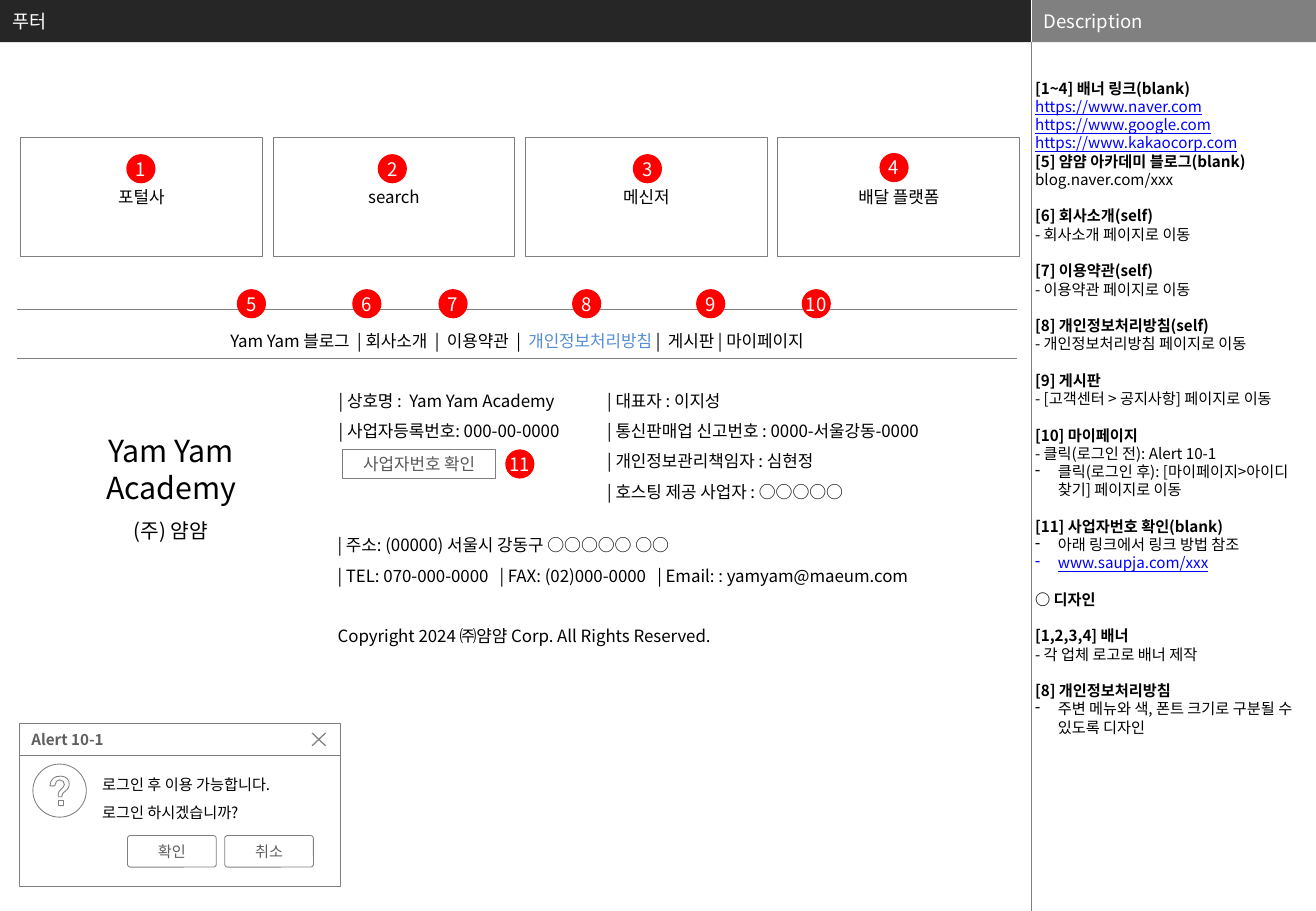
from collections import namedtuple
from dataclasses import dataclass

from lxml import etree
from pptx import Presentation
from pptx import util as u
from pptx.dml import color as c
from pptx.enum import shapes as s, text as t
from pptx.oxml import ns

Box = namedtuple("Box", "left top width height")
LEFT, CENTER = t.PP_ALIGN.LEFT, t.PP_ALIGN.CENTER
TOP, MIDDLE = t.MSO_ANCHOR.TOP, t.MSO_ANCHOR.MIDDLE


@dataclass(frozen=True)
class Theme:
    font: str = "Noto Sans CJK KR"
    black: str = "000000"
    white: str = "FFFFFF"
    bar: str = "262626"
    gray: str = "808080"
    button: str = "595959"
    alert: str = "5F5F5F"
    link: str = "0000FF"
    accent: str = "558ED5"
    marker: str = "FF0000"
    small: float = 9
    body: float = 10
    header: float = 11
    company: float = 12
    brand: float = 18
    hairline: float = 0.5
    gap: float = 10.8


THEME = Theme()


def rgb(value):
    return c.RGBColor.from_string(value)


def place(box, left, top, width, height):
    """Turn an offset inside a box into slide lengths."""
    return [u.Pt(v) for v in (box.left + left, box.top + top, width, height)]


def child(parent, tag, **attributes):
    return etree.SubElement(parent, ns.qn(tag), attributes)


def write(frame, text, *, size=THEME.body, color=THEME.black, bold=False, underline=False,
          align=LEFT, spacing=None, before=0, bullet=None, hang=13.5, tabs=(), join=False):
    """Add a paragraph, or with join a further run, to a text frame."""
    para = frame.paragraphs[-1]
    if para.runs and not join:
        para = frame.add_paragraph()
    if not join:
        para.alignment = align
        para.space_before = u.Pt(before)
        if spacing:
            para.line_spacing = spacing
        props = para._p.get_or_add_pPr()
        if bullet:
            props.set("marL", str(u.Pt(hang)))
            props.set("indent", str(-u.Pt(hang)))
            child(props, "a:buChar", char=bullet)
        if tabs:
            stops = child(props, "a:tabLst")
            for stop in tabs:
                child(stops, "a:tab", pos=str(u.Pt(stop)), algn="l")
    span = para.add_run()
    span.text = text
    span.font.size = u.Pt(size)
    span.font.bold = bold
    span.font.underline = underline
    span.font.color.rgb = rgb(color)
    span.font.name = THEME.font
    child(span._r.get_or_add_rPr(), "a:ea", typeface=THEME.font)


def set_frame(shape, anchor=TOP, insets=(7.2, 3.6, 7.2, 3.6), wrap=True):
    frame = shape.text_frame
    frame.auto_size = t.MSO_AUTO_SIZE.NONE
    frame.word_wrap = wrap
    frame.vertical_anchor = anchor
    (frame.margin_left, frame.margin_top,
     frame.margin_right, frame.margin_bottom) = [u.Pt(v) for v in insets]
    return frame


def add_text(shapes, area, **frame_format):
    return set_frame(shapes.add_textbox(*area), **frame_format)


def paint(shape, fill=None, line=None, width=THEME.hairline):
    shape.shadow.inherit = False
    if fill:
        shape.fill.solid()
        shape.fill.fore_color.rgb = rgb(fill)
    else:
        shape.fill.background()
    if line:
        shape.line.color.rgb = rgb(line)
        shape.line.width = u.Pt(width)
    else:
        shape.line.fill.background()


def add_box(shapes, area, kind=s.MSO_SHAPE.RECTANGLE, fill=None, line=None, **frame_format):
    shape = shapes.add_shape(kind, *area)
    paint(shape, fill, line)
    return shape, set_frame(shape, **{"anchor": MIDDLE, **frame_format})


def add_outline(shapes, contours, box, width, closed):
    """Draw several contours, given inside a box, as one freeform."""
    moved = [[(u.Pt(box.left + x), u.Pt(box.top + y)) for x, y in points] for points in contours]
    builder = shapes.build_freeform(*moved[0][0], scale=1.0)
    for index, points in enumerate(moved):
        if index:
            builder.move_to(*points[0])
        builder.add_line_segments(points[1:], close=closed)
    paint(builder.convert_to_shape(), line=THEME.gray, width=width)


def add_rule(page, x, top, bottom, color):
    rule = page.shapes.add_connector(s.MSO_CONNECTOR.STRAIGHT, *[u.Pt(v) for v in (x, top, x, bottom)])
    rule.line.color.rgb = rgb(color)
    rule.line.width = u.Pt(0.25)
    child(rule._element.spPr, "a:effectLst")


def add_header(page, box, split):
    title = page.shapes.title
    title.left, title.top, title.width, title.height = place(box, 0, 0, split, box.height)
    title.fill.solid()
    title.fill.fore_color.rgb = rgb(THEME.bar)
    write(set_frame(title, MIDDLE), "푸터", size=THEME.header, color=THEME.white)
    _, frame = add_box(page.shapes, place(box, split, 0, box.width - split, box.height), fill=THEME.gray)
    write(frame, "Description", size=THEME.header, color=THEME.white)
    add_rule(page, split, 0, box.height, THEME.white)
    add_rule(page, split, box.height, 540, THEME.gray)


def add_description(page, box):
    head = dict(bold=True, before=THEME.gap)
    tight = dict(bold=True)
    link = dict(color=THEME.link, underline=True)
    bullet = dict(bullet="-")
    entries = [
        ("[1~4] 배너 링크(blank)", tight), ("https://www.naver.com", link),
        ("https://www.google.com", link), ("https://www.kakaocorp.com", link),
        ("[5] 얌얌 아카데미 블로그(blank)", tight), ("blog.naver.com/xxx", {}),
        ("[6] 회사소개(self)", head), ("- 회사소개 페이지로 이동", {}),
        ("[7] 이용약관(self)", head), ("- 이용약관 페이지로 이동", {}),
        ("[8] 개인정보처리방침(self)", head), ("- 개인정보처리방침 페이지로 이동", {}),
        ("[9] 게시판", head), ("- [고객센터 > 공지사항] 페이지로 이동", {}),
        ("[10] 마이페이지", head), ("- 클릭(로그인 전): Alert 10-1", {}),
        ("클릭(로그인 후): [마이페이지>아이디 찾기] 페이지로 이동", bullet),
        ("[11] 사업자번호 확인(blank)", head), ("아래 링크에서 링크 방법 참조", bullet),
        ("www.saupja.com/xxx", {**link, **bullet}),
        ("○ 디자인", head),
        ("[1,2,3,4] 배너", head), ("- 각 업체 로고로 배너 제작", {}),
        ("[8] 개인정보처리방침", head),
        ("주변 메뉴와 색, 폰트 크기로 구분될 수 있도록 디자인", bullet),
    ]
    frame = add_text(page.shapes, place(box, 0, 0, box.width, box.height), insets=(2.9, 0, 2.9, 0))
    for text, look in entries:
        write(frame, text, size=THEME.small, **look)


def add_banners(page, box, labels, gap=6.3):
    width = (box.width - gap * (len(labels) - 1)) / len(labels)
    for index, label in enumerate(labels):
        area = place(box, index * (width + gap), 0, width, box.height)
        write(add_box(page.shapes, area, line=THEME.gray)[1], label, align=CENTER)


def add_menu(page, box):
    table = page.shapes.add_table(1, 1, *place(box, 0, 0, box.width, box.height)).table
    table.first_row = table.horz_banding = False
    cell = table.cell(0, 0)
    cell.vertical_anchor = MIDDLE
    props = cell._tc.get_or_add_tcPr()
    for side, color, width in (("L", THEME.white, 1), ("R", THEME.white, 1),
                               ("T", THEME.gray, 0.5), ("B", THEME.gray, 0.5)):
        border = child(props, f"a:ln{side}", w=str(u.Pt(width)))
        child(child(border, "a:solidFill"), "a:srgbClr", val=color)
    cell.fill.background()
    frame = cell.text_frame
    write(frame, "Yam Yam 블로그  | 회사소개  |  이용약관  |  ", align=CENTER, spacing=1.5)
    write(frame, "개인정보처리방침 ", color=THEME.accent, join=True)
    write(frame, "|  게시판 | 마이페이지", join=True)


def add_company(page, box):
    shapes = page.shapes
    # Brand name
    write(add_text(shapes, place(box, 0, 31, 139.7, 51)), "Yam Yam Academy", size=THEME.brand, align=CENTER)
    write(add_text(shapes, place(box, 20.9, 82.1, 97.2, 21.6)), "(주) 얌얌", size=THEME.company, align=CENTER)
    # Business details
    columns = [
        (162, 0, 173.5, 41, ["| 상호명 :  Yam Yam Academy", "| 사업자등록번호: 000-00-0000"]),
        (321.1, 0, 241.2, 80, ["| 대표자 : 이지성", "| 통신판매업 신고번호 : 0000-서울강동-0000",
                               "| 개인정보관리책임자 : 심현정", "| 호스팅 제공 사업자 : ○○○○○"]),
        (161.3, 85.7, 390.2, 80, ["| 주소: (00000) 서울시 강동구 ○○○○○ ○○",
                                  "| TEL: 070-000-0000\t| FAX: (02)000-0000\t| Email: : yamyam@maeum.com"]),
    ]
    for *area, lines in columns:
        frame = add_text(shapes, place(box, *area))
        for line in lines:
            write(frame, line, spacing=1.5, tabs=(96, 189.5) if "\t" in line else ())
    write(frame, "Copyright 2024 ㈜얌얌 Corp. All Rights Reserved.", spacing=1.5, before=18)
    # Number check button
    _, frame = add_box(shapes, place(box, 171.4, 44.6, 90.7, 17.3), line=THEME.gray)
    write(frame, "사업자번호 확인", color=THEME.button, align=CENTER)


def add_markers(page, box, spots, size=17.3):
    for number, (left, top) in enumerate(spots, 1):
        _, frame = add_box(page.shapes, place(box, left, top, size, size), s.MSO_SHAPE.OVAL,
                           fill=THEME.marker, insets=(0, 0, 0, 0), wrap=False)
        write(frame, str(number), size=THEME.header, color=THEME.white, align=CENTER)


def add_alert(page, box):
    shapes = page.shapes.add_group_shape().shapes
    panel = dict(fill=THEME.white, line=THEME.gray)
    bar = 18.7
    # Panel, message and title bar
    add_box(shapes, place(box, 0, bar, box.width, box.height - bar), **panel)
    frame = add_text(shapes, place(box, 43.2, 22.3, 144, 38.2), anchor=MIDDLE, insets=(5.8, 2.9, 5.8, 2.9))
    for line in ("로그인 후 이용 가능합니다.", "로그인 하시겠습니까?"):
        write(frame, line, size=THEME.small, spacing=1.5)
    _, frame = add_box(shapes, place(box, 0, 0, box.width, bar), **panel)
    write(frame, "Alert 10-1", size=THEME.small, color=THEME.alert, bold=True)
    # Close mark
    close = Box(box.left + 173.5, box.top + 5.4, 8, 7.6)
    add_outline(shapes, [[(8, 0), (0, 7.6)], [(0, 0), (8, 7.6)]], close, 0.75, False)
    # Question icon
    icon = Box(box.left + 8, box.top + 23.8, 31.7, 31.5)
    add_box(shapes, place(icon, 0, 0, icon.width, icon.height), s.MSO_SHAPE.OVAL, line=THEME.gray)
    hook = [(17.3, 19.4), (15.1, 19.4), (15.1, 18), (15.4, 16.6), (16.6, 15.1), (18.2, 13.5),
            (18.7, 12.2), (18, 10.3), (15.8, 9.4), (14, 10.3), (13, 13), (10.1, 13), (10.8, 10.2),
            (12.2, 8.4), (14, 7.5), (16.6, 7.2), (18.8, 7.6), (20.3, 8.6), (21.3, 10.2), (21.6, 12.2),
            (21.2, 13.8), (20.2, 15.3), (18, 17.2), (17.4, 18)]
    dot = [(18, 21.6), (18, 24.5), (15.1, 24.5), (15.1, 21.6)]
    add_outline(shapes, [hook, dot], icon, THEME.hairline, True)
    # Buttons
    for left, label in ((64.1, "확인"), (121.7, "취소")):
        button, frame = add_box(shapes, place(box, left, 66.2, 52.6, 18.7),
                                s.MSO_SHAPE.ROUNDED_RECTANGLE, **panel)
        button.adjustments[0] = 0.09
        write(frame, label, size=THEME.small, color=THEME.alert, align=CENTER)


def main():
    deck = Presentation()
    deck.slide_width, deck.slide_height = u.Pt(780), u.Pt(540)
    page = deck.slides.add_slide(deck.slide_layouts[5])
    add_header(page, Box(0, 0, 780, 25), 611.3)
    add_description(page, Box(610.6, 46.8, 169.2, 493.2))
    add_menu(page, Box(9.4, 183.6, 594, 25.2))
    add_banners(page, Box(12.2, 81.4, 592.2, 70.6), ["포털사", "search", "메신저", "배달 플랫폼"])
    add_company(page, Box(31.7, 221.8, 562.3, 165.6))
    banner_spots = [(74.9, 91.4), (223.9, 91.4), (375.1, 91.4), (521.3, 90.7)]
    menu_spots = [(left, 171.4) for left in (140.4, 208.8, 259.9, 339.1, 412.6, 475.2)]
    add_markers(page, Box(0, 0, 611.3, 540), banner_spots + menu_spots + [(299.5, 266.4)])
    add_alert(page, Box(11.5, 429.1, 190.1, 96.5))
    deck.save("out.pptx")


if __name__ == "__main__":
    main()
